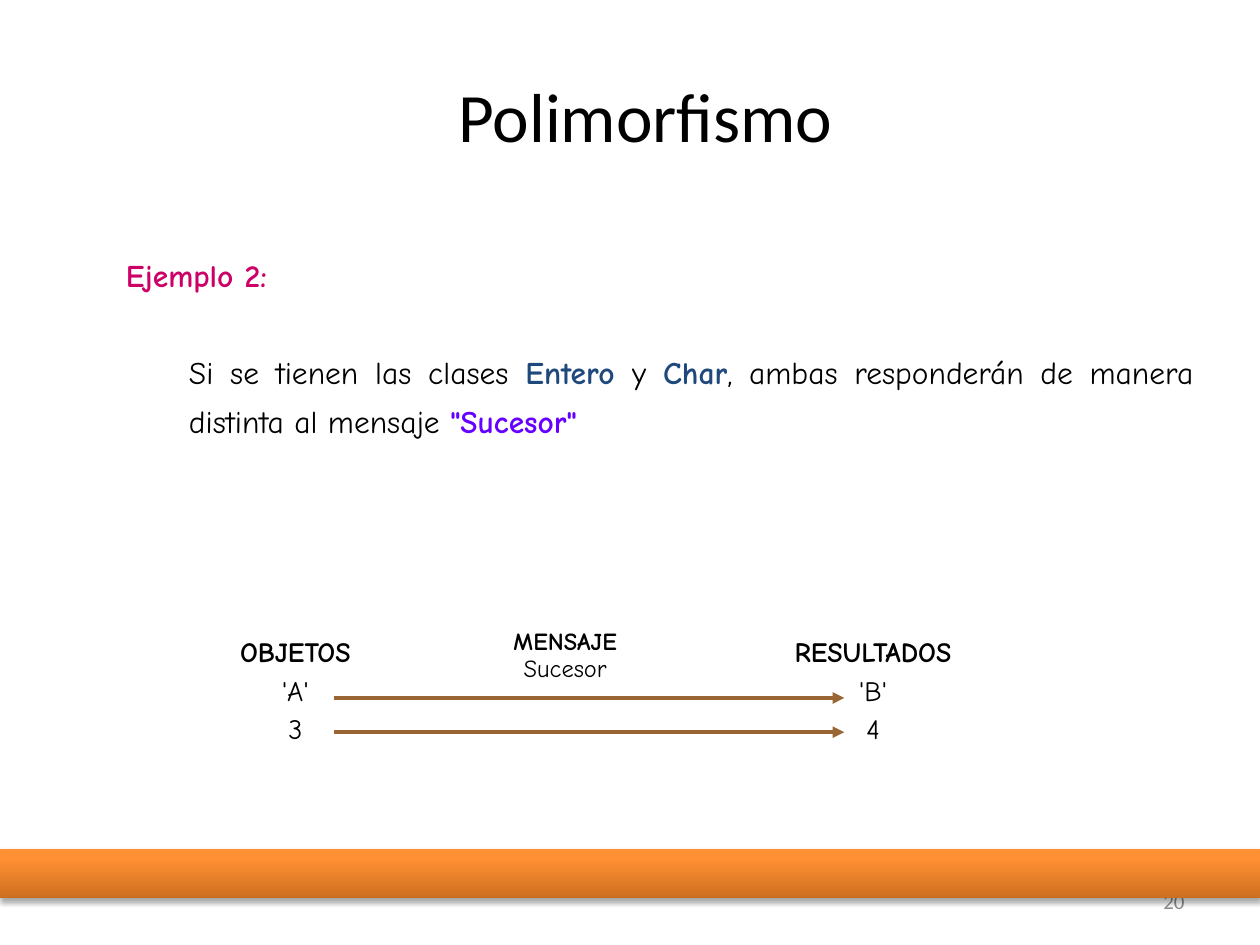
"""Build the Polimorfismo slide: two objects answering the same message."""
import pptx
import pptx.dml.color
import pptx.enum.shapes
import pptx.enum.text
import pptx.oxml
import pptx.oxml.ns
import pptx.util
from dataclasses import dataclass

Cm, Pt = pptx.util.Cm, pptx.util.Pt
AL = pptx.enum.text.PP_ALIGN
ANCHOR = pptx.enum.text.MSO_ANCHOR


@dataclass(frozen=True)
class Theme:
    head: str = "Calibri"
    body: str = "Comic Neue"
    black: str = "000000"
    grey: str = "8C8C8C"
    pink: str = "CC0066"
    navy: str = "1F497D"
    violet: str = "6600FF"
    brown: str = "996633"
    bar: tuple = ((0, "CC6E20"), (80, "FF9034"), (100, "FF9136"))
    title_pt: float = 39.6
    text_pt: float = 18
    label_pt: float = 16
    message_pt: float = 14
    number_pt: float = 12


T = Theme()


def set_all(obj, values):
    for name, value in values.items():
        setattr(obj, name, value)


def add_xml(parent, xml):
    ns = pptx.oxml.ns.nsdecls("a")
    el = pptx.oxml.parse_xml(xml.replace(">", f" {ns}>", 1) if "/>" not in xml.split(">")[0] + ">"
                             else xml.replace("/>", f" {ns}/>", 1))
    parent.append(el)
    return el


def add_text(s, box, paras, font, size, anchor=ANCHOR.TOP):
    sp = s.shapes.add_textbox(*map(Cm, box))
    tf = sp.text_frame
    set_all(tf, {"word_wrap": True, "vertical_anchor": anchor})
    for i, (fmt, runs) in enumerate(paras):
        p = tf.add_paragraph() if i else tf.paragraphs[0]
        set_all(p, fmt)
        for text, color, bold in runs:
            r = p.add_run()
            r.text = text
            set_all(r.font, {"name": font, "size": Pt(size), "bold": bold})
            r.font.color.rgb = pptx.dml.color.RGBColor.from_string(color)
    return sp


def add_column(s, box, heading, items, size, spacing, before):
    head = ({"alignment": AL.CENTER}, [(heading, T.black, True)])
    fmt = {"alignment": AL.CENTER, "line_spacing": spacing, "space_before": Pt(before)}
    rows = [(fmt, [(item, T.black, False)]) for item in items]
    add_text(s, box, [head, *rows], T.body, size)


def add_arrow(s, x1, x2, y):
    sp = s.shapes.add_connector(pptx.enum.shapes.MSO_CONNECTOR.STRAIGHT,
                                Cm(x1), Cm(y), Cm(x2), Cm(y))
    sp.line.width = Pt(2.25)
    sp.line.color.rgb = pptx.dml.color.RGBColor.from_string(T.brown)
    add_xml(sp.line._get_or_add_ln(), '<a:tailEnd type="triangle"/>')
    add_xml(sp._element.spPr, "<a:effectLst/>")


def add_bar(s, box):
    sp = s.shapes.add_shape(pptx.enum.shapes.MSO_SHAPE.RECTANGLE, *map(Cm, box))
    spPr = sp._element.spPr
    stops = "".join(f'<a:gs pos="{pos * 1000}"><a:srgbClr val="{color}"/></a:gs>'
                    for pos, color in T.bar)
    add_xml(spPr, f'<a:gradFill><a:gsLst>{stops}</a:gsLst>'
                  '<a:lin ang="16200000" scaled="0"/></a:gradFill>')
    sp.line.fill.background()
    add_xml(spPr, f'<a:effectLst><a:outerShdw blurRad="{Pt(3.1)}" dist="{Pt(1.8)}" '
                  f'dir="5400000" rotWithShape="0"><a:srgbClr val="{T.black}">'
                  '<a:alpha val="35000"/></a:srgbClr></a:outerShdw></a:effectLst>')


def add_example(s, box):
    sp = add_text(s, box, [
        ({"alignment": AL.JUSTIFY, "line_spacing": 0.9, "space_before": Pt(3.6)},
         [("Ejemplo 2:", T.pink, True)]),
        ({"alignment": AL.JUSTIFY, "line_spacing": 1.3, "space_before": Pt(26.6)},
         [("Si se tienen las clases ", T.black, False), ("Entero ", T.navy, True),
          ("y ", T.black, False), ("Char", T.navy, True),
          (", ambas responderán de manera distinta al mensaje ", T.black, False),
          ('"Sucesor"', T.violet, True)]),
    ], T.body, T.text_pt)
    sp.text_frame.paragraphs[1]._p.get_or_add_pPr().set("marL", str(Cm(1.27)))


def main():
    prs = pptx.Presentation()
    set_all(prs, {"slide_width": Cm(25.4), "slide_height": Cm(19.05)})
    s = prs.slides.add_slide(prs.slide_layouts[6])
    add_text(s, (1.9, 1.47, 22.23, 1.7),
             [({"alignment": AL.CENTER}, [("Polimorfismo", T.black, False)])],
             T.head, T.title_pt, ANCHOR.MIDDLE)
    add_text(s, (18.21, 17.65, 5.92, 1.02),
             [({"alignment": AL.RIGHT}, [("20", T.grey, False)])],
             T.head, T.number_pt, ANCHOR.MIDDLE)
    add_column(s, (4.01, 12.67, 3.89, 2.57), "OBJETOS", ["'A'", "3"], T.label_pt, 0.7, 8.3)
    add_column(s, (9.45, 12.5, 3.89, 1.32), "MENSAJE", ["Sucesor"], T.message_pt, 0.3, 8.7)
    add_column(s, (14.88, 12.67, 5.44, 2.57), "RESULTADOS", ["'B'", "4"], T.label_pt, 0.7, 8.3)
    for y in (14.07, 14.76):
        add_arrow(s, 6.73, 17.02, y)
    add_example(s, (2.29, 5.13, 22.02, 6.78))
    add_bar(s, (0, 17.12, 25.4, 0.99))
    prs.save("out.pptx")


if __name__ == "__main__":
    main()
